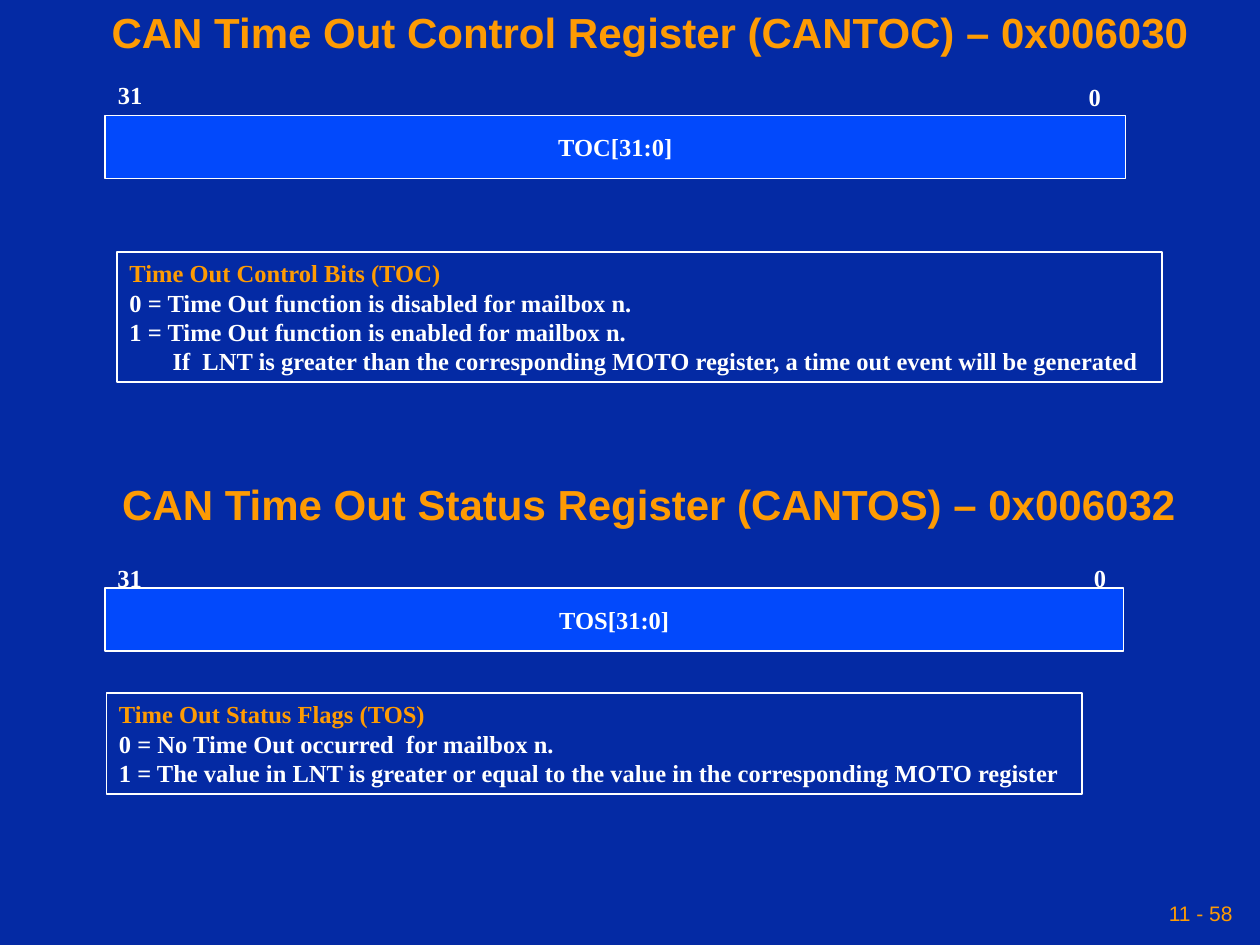
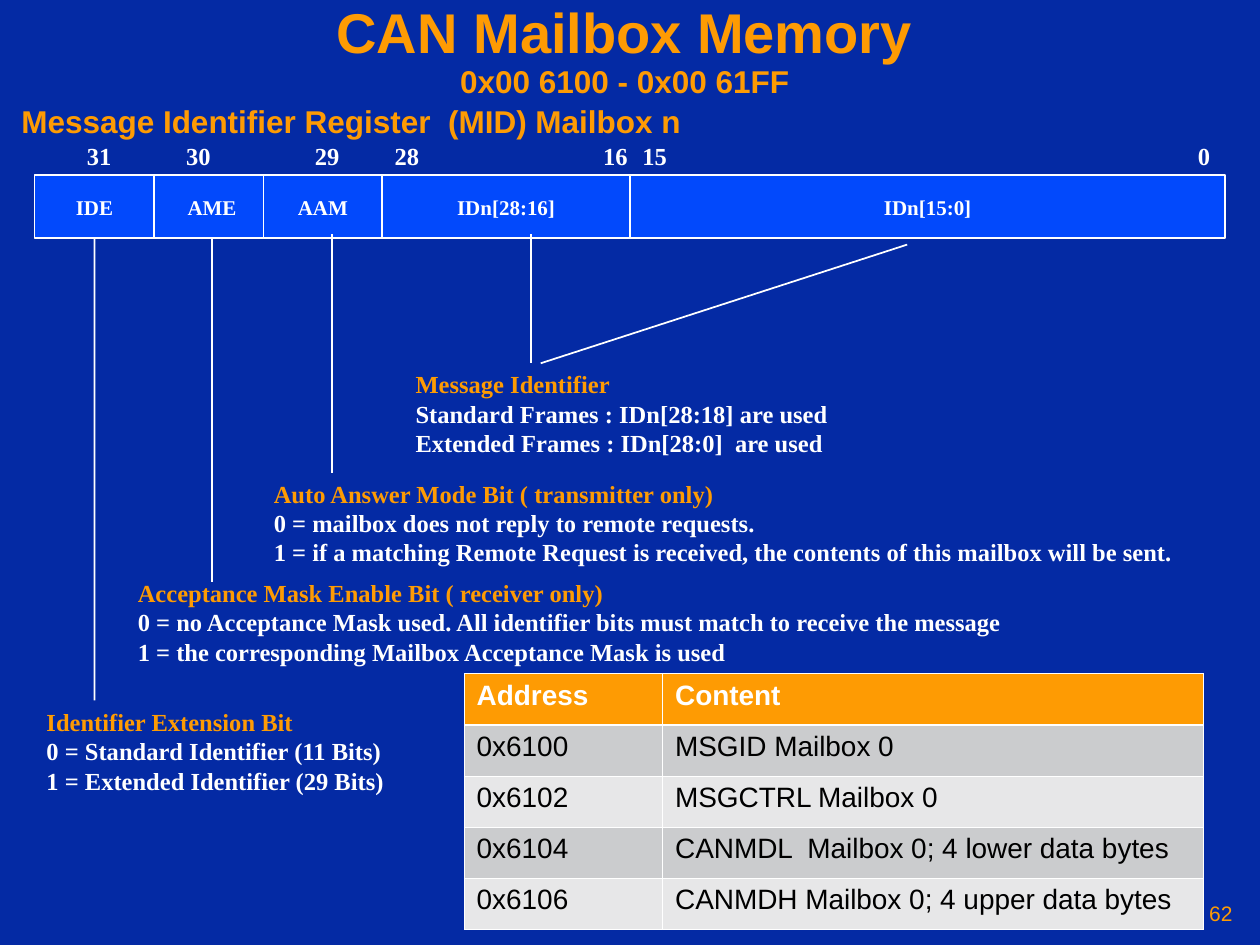
from typing import NamedTuple

import lxml.etree
import pptx
import pptx.dml.color
import pptx.enum.shapes
import pptx.enum.text
import pptx.oxml.ns
import pptx.util

COLS, ROWS = 120, 90  # grid of the slide, 12 cells to the inch
NAVY, BLUE, GOLD, WHITE, BLACK = "042AA4", "0249FC", "FE9B03", "FFFFFF", "000000"
BANDS = ("CBCCCE", "E7E7E8")
SANS, SERIF = "Arial", "Times New Roman"
LEFT, MID, RIGHT = (pptx.enum.text.PP_ALIGN.LEFT, pptx.enum.text.PP_ALIGN.CENTER,
                    pptx.enum.text.PP_ALIGN.RIGHT)
CENTRE = pptx.enum.text.MSO_ANCHOR.MIDDLE
BAR_ROWS = 6
LABEL_ROWS = 4.1


class Box(NamedTuple):
    left: float
    top: float
    width: float
    height: float


class Line(NamedTuple):
    text: str
    size: float = 14
    color: str = WHITE
    font: str = SERIF
    bold: bool = True
    indent: float = 0


class Field(NamedTuple):
    left: float
    width: float
    name: str


class Label(NamedTuple):
    left: float
    top: float
    text: str


class Note(NamedTuple):
    box: Box
    head: str
    body: tuple[Line, ...]


class Leader(NamedTuple):
    start: tuple[float, float]
    end: tuple[float, float]
    field: int | None = None  # field whose bottom side it is joined to


class Register(NamedTuple):
    title: Line
    title_box: Box
    labels: tuple[Label, ...]
    top: float
    field: Field
    note: Note


REGISTERS = (
    Register(
        Line("CAN Time Out Control Register (CANTOC) – 0x006030", 24, GOLD, SANS),
        Box(9.45, 0, 105.1, 6),
        (Label(10.05, 7, "31"), Label(102.5, 7.2, "0")),
        11, Field(10, 97.2, "TOC[31:0]"),
        Note(Box(11.15, 24, 99.5, 12.4), "Time Out Control Bits (TOC)", (
            Line("0 = Time Out function is disabled for mailbox n."),
            Line("1 = Time Out function is enabled for mailbox n."),
            Line("If  LNT is greater than the corresponding MOTO register, "
                 "a time out event will be generated", indent=4.1)))),
    Register(
        Line("CAN Time Out Status Register (CANTOS) – 0x006032", 24, GOLD, SANS),
        Box(10.45, 45, 102.8, 6),
        (Label(10, 53, "31"), Label(103, 53, "0")),
        56, Field(10, 97, "TOS[31:0]"),
        Note(Box(10.15, 66, 92.9, 9.6), "Time Out Status Flags (TOS)", (
            Line("0 = No Time Out occurred  for mailbox n."),
            Line("1 = The value in LNT is greater or equal to the value in "
                 "the corresponding MOTO register")))),
)

BITS_TOP, FIELD_TOP = 12.85, 16.7
BITS = ((7.1, "31"), (16.55, "30"), (28.8, "29"), (36.4, "28"),
        (56.25, "16"), (60, "15"), (112.9, "0"))
FIELDS = (Field(3.3, 11.4, "IDE"), Field(14.7, 11, "AME"), Field(25.1, 11.3, "AAM"),
          Field(36.4, 23.6, "IDn[28:16]"), Field(60, 56.7, "IDn[15:0]"))
LEADERS = (
    Leader((9, 22.7), (9, 66.7), 0),
    Leader((20.2, 22.7), (20.2, 55.4), 1),
    Leader((31.65, 22.3), (31.65, 45)),
    Leader((50.55, 22.3), (50.55, 34.6)),
    Leader((86.4, 23.3), (51.5, 34.6)),
)
NOTES = (
    Note(Box(3.25, 66.75, 34.6, 9.6), "Identifier Extension Bit", (
        Line("0 = Standard Identifier (11 Bits)"),
        Line("1 = Extended Identifier (29 Bits)"))),
    Note(Box(11.95, 54.45, 85, 9.6), "Acceptance Mask Enable Bit ( receiver only)", (
        Line("0 = no Acceptance Mask used. All identifier bits must match "
             "to receive the message"),
        Line("1 = the corresponding Mailbox Acceptance Mask is used"))),
    Note(Box(24.9, 45, 88.1, 9.6), "Auto Answer Mode Bit ( transmitter only)", (
        Line("0 = mailbox does not reply to remote requests."),
        Line("1 = if a matching Remote Request is received, the contents "
             "of this mailbox will be sent."))),
    Note(Box(38.4, 34.6, 41.8, 9.6), "Message Identifier", (
        Line("Standard Frames : IDn[28:18] are used"),
        Line("Extended Frames : IDn[28:0]  are used"))),
)
TABLE_BOX = Box(44.2, 64.15, 70.4, 24.4)
TABLE_COLS = (18.9, 51.5)
CONTENT = (
    ("Address", "Content"),
    ("0x6100", "MSGID Mailbox 0"),
    ("0x6102", "MSGCTRL Mailbox 0"),
    ("0x6104", "CANMDL  Mailbox 0; 4 lower data bytes"),
    ("0x6106", "CANMDH Mailbox 0; 4 upper data bytes"),
)


def span(cells: float) -> pptx.util.Length:
    return pptx.util.Inches(cells / 12)


def place(box: Box) -> tuple[pptx.util.Length, ...]:
    return tuple(span(side) for side in box)


def tint(code: str) -> pptx.dml.color.RGBColor:
    return pptx.dml.color.RGBColor.from_string(code)


def write(frame, lines, align=LEFT, spacing: float | None = None) -> None:
    for num, line in enumerate(lines):
        para = frame.paragraphs[0] if num == 0 else frame.add_paragraph()
        para.text = line.text
        para.alignment = align
        if spacing:
            para.line_spacing = spacing
        if line.indent:
            para._p.get_or_add_pPr().set("marL", str(span(line.indent)))
        font = para.font
        font.name, font.size, font.bold = line.font, pptx.util.Pt(line.size), line.bold
        font.color.rgb = tint(line.color)


def text(slide, box: Box, lines, align=LEFT):
    """Add an unwrapped text box that grows with its text."""
    frame = slide.shapes.add_textbox(*place(box)).text_frame
    frame.word_wrap = False
    frame.auto_size = pptx.enum.text.MSO_AUTO_SIZE.SHAPE_TO_FIT_TEXT
    write(frame, lines, align)
    return frame


def panel(slide, box: Box, lines, align=LEFT, fill: str | None = None):
    """Add a white-edged rectangle, filled only when a colour is given."""
    shape = slide.shapes.add_shape(pptx.enum.shapes.MSO_SHAPE.RECTANGLE, *place(box))
    shape.shadow.inherit = False
    if fill:
        shape.fill.solid()
        shape.fill.fore_color.rgb = tint(fill)
    else:
        shape.fill.background()
    shape.line.color.rgb = tint(WHITE)
    shape.line.width = pptx.util.Pt(1)
    frame = shape.text_frame
    frame.word_wrap = False
    frame.vertical_anchor = CENTRE if fill else pptx.enum.text.MSO_ANCHOR.TOP
    write(frame, lines, align)
    return shape


def bar(slide, field: Field, top: float, size: float):
    return panel(slide, Box(field.left, top, field.width, BAR_ROWS),
                 [Line(field.name, size)], MID, BLUE)


def mark(slide, label: Label) -> None:
    width = 4.7 if len(label.text) > 1 else 3.6
    text(slide, Box(label.left, label.top, width, LABEL_ROWS), [Line(label.text)])


def note(slide, item: Note, draw) -> None:
    draw(slide, item.box, [Line(item.head, color=GOLD), *item.body])


def inset(slide, box: Box, lines, align, spacing: float | None = None) -> None:
    """Add a middle-anchored text box with narrow margins."""
    frame = slide.shapes.add_textbox(*place(box)).text_frame
    frame.word_wrap = True
    frame.vertical_anchor = CENTRE
    frame.margin_left = frame.margin_right = pptx.util.Inches(0.05)
    write(frame, lines, align, spacing)


def link(slide, leader: Leader, bars) -> None:
    line = slide.shapes.add_connector(
        pptx.enum.shapes.MSO_CONNECTOR.STRAIGHT,
        *map(span, (*leader.start, *leader.end)))
    if leader.field is not None:
        line.begin_connect(bars[leader.field], 2)
    line.line.color.rgb = tint(WHITE)
    line.line.width = pptx.util.Pt(1)
    lxml.etree.SubElement(line._element.spPr, pptx.oxml.ns.qn("a:effectLst"))


def edge(cell, side: str, width: float) -> None:
    qn = pptx.oxml.ns.qn
    line = lxml.etree.Element(qn(f"a:{side}"), w=str(pptx.util.Pt(width)))
    fill = lxml.etree.SubElement(line, qn("a:solidFill"))
    lxml.etree.SubElement(fill, qn("a:srgbClr"), val=WHITE)
    cell._tc.get_or_add_tcPr().append(line)


def table(slide) -> None:
    grid = slide.shapes.add_table(len(CONTENT), len(TABLE_COLS), *place(TABLE_BOX)).table
    grid.horz_banding = False
    for col, width in zip(grid.columns, TABLE_COLS):
        col.width = span(width)
    for row, words in enumerate(CONTENT):
        grid.rows[row].height = span(TABLE_BOX.height / len(CONTENT))
        head = row == 0
        for col, word in enumerate(words):
            cell = grid.cell(row, col)
            for side in ("lnL", "lnR", "lnT", "lnB"):
                thick = (row, side) in ((0, "lnB"), (1, "lnT"))
                edge(cell, side, 1.47 if thick else 0.45)
            cell.fill.solid()
            cell.fill.fore_color.rgb = tint(GOLD if head else BANDS[(row - 1) % 2])
            write(cell.text_frame,
                  [Line(word, 16, WHITE if head else BLACK, SANS, head)])


def start(deck, number: int):
    """Add a blank slide with the shared background and page number."""
    slide = deck.slides.add_slide(deck.slide_layouts[6])
    slide.background.fill.solid()
    slide.background.fill.fore_color.rgb = tint(NAVY)
    inset(slide, Box(82, 85, 36, 4),
          [Line(f"11 - {number}", 12, GOLD, SANS, False)], RIGHT)
    return slide


def timeout(deck) -> None:
    slide = start(deck, 58)
    for reg in REGISTERS:
        text(slide, reg.title_box, [reg.title])
        for label in reg.labels:
            mark(slide, label)
        bar(slide, reg.field, reg.top, 14)
        note(slide, reg.note, panel)


def mailbox(deck) -> None:
    slide = start(deck, 62)
    inset(slide, Box(0, 0, 119, 10),
          [Line("CAN Mailbox Memory", 32, GOLD, SANS),
           Line("0x00 6100 - 0x00 61FF", 18, GOLD, SANS)], MID, 0.9)
    text(slide, Box(0.25, 9.15, 66.4, 4.8),
         [Line("Message Identifier Register  (MID) Mailbox n", 18, GOLD, SANS)], MID)
    for left, bit in BITS:
        mark(slide, Label(left, BITS_TOP, bit))
    bars = [bar(slide, field, FIELD_TOP, 12) for field in FIELDS]
    for item in NOTES:
        note(slide, item, text)
    for leader in LEADERS:
        link(slide, leader, bars)
    table(slide)


def main() -> None:
    deck = pptx.Presentation()
    deck.slide_width, deck.slide_height = span(COLS), span(ROWS)
    timeout(deck)
    mailbox(deck)
    deck.save("out.pptx")


if __name__ == "__main__":
    main()
